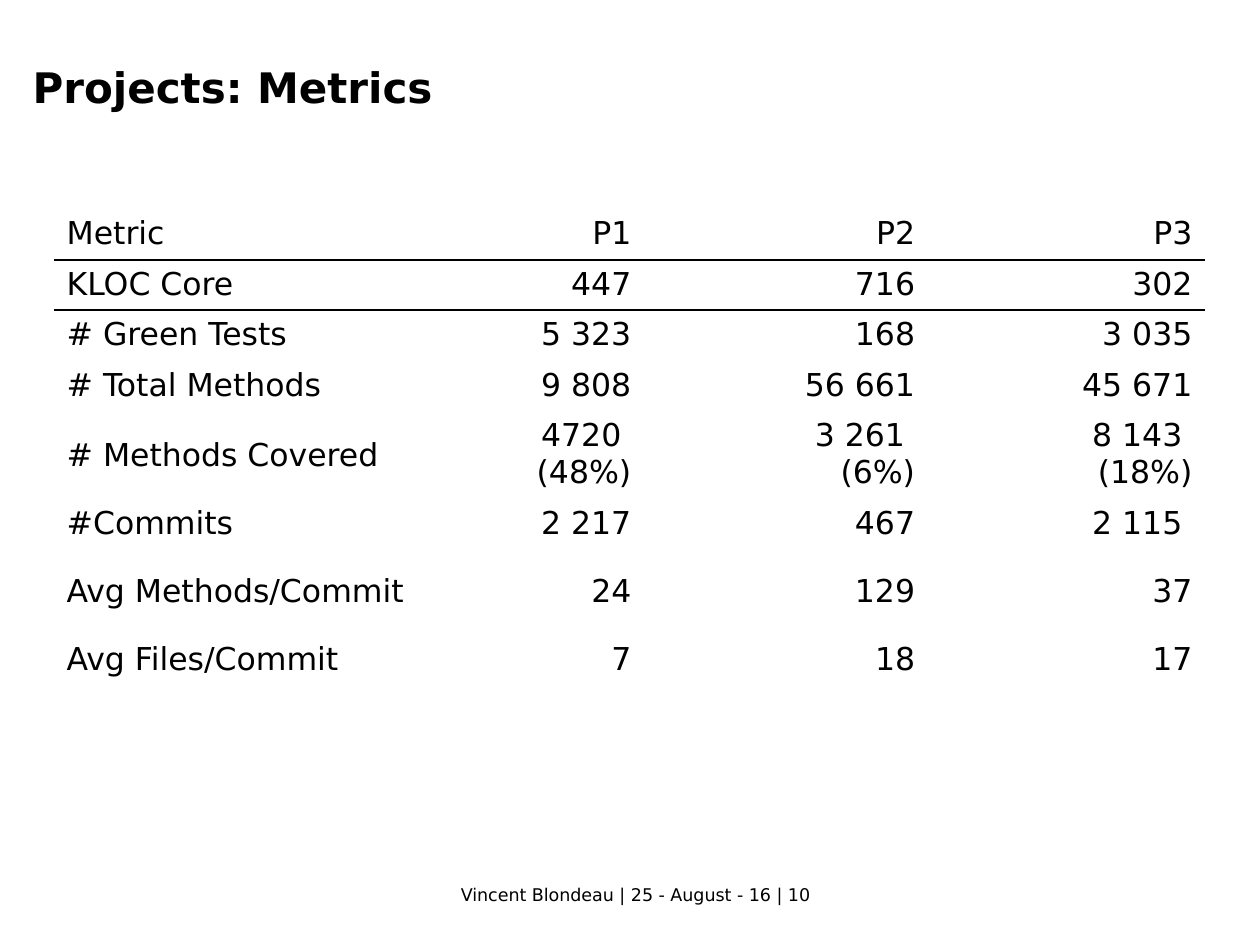
import pptx
import pptx.util
import pptx.dml.color
import pptx.enum.text
import pptx.oxml
import pptx.oxml.ns

Cm, Pt = pptx.util.Cm, pptx.util.Pt
Align = pptx.enum.text.PP_ALIGN
Anchor = pptx.enum.text.MSO_ANCHOR

# Content
TITLE = "Projects: Metrics"
FOOTER = "Vincent Blondeau | 25 - August - 16 | 10"
ROWS = [
    ("Metric", "P1", "P2", "P3"),
    ("KLOC Core", "447", "716", "302"),
    ("# Green Tests", "5 323", "168", "3 035"),
    ("# Total Methods", "9 808", "56 661", "45 671"),
    ("# Methods Covered", "4720 \n(48%)", "3 261 \n(6%)", "8 143 \n(18%)"),
    ("#Commits", "2 217", "467", "2 115 "),
    ("Avg Methods/Commit", "24", "129", "37"),
    ("Avg Files/Commit", "7", "18", "17"),
]
WIDTHS = [8.31, 3.58, 5.72, 5.59]
HEIGHTS = [0.99] * 4 + [1.73, 1.37, 1.37, 0.99]
RULED = (0, 1)  # rows with a line below
MIDDLE = 4      # row whose label is centred vertically
COLORS = {"text": "000000", "line": "000000"}
FONT = "DejaVu Sans"


def write(frame, text, size=18, bold=False, align=Align.LEFT):
    par = frame.paragraphs[0]
    par.text = text
    par.alignment = align
    for run in par.runs:
        font = run.font
        font.name, font.size, font.bold = FONT, Pt(size), bold
        font.color.rgb = pptx.dml.color.RGBColor.from_string(COLORS["text"])


def add_text(slide, text, left, top, width, height, wrap=True, inset=0.13, **style):
    box = slide.shapes.add_textbox(Cm(left), Cm(top), Cm(width), Cm(height))
    frame = box.text_frame
    frame.word_wrap = wrap
    frame.margin_top = Cm(inset)
    write(frame, text, **style)


def set_edges(cell, ruled):
    props = cell._tc.get_or_add_tcPr()
    for side in "LRTB":
        fill = "<a:noFill/>"
        if side in ruled:
            fill = f'<a:solidFill><a:srgbClr val="{COLORS["line"]}"/></a:solidFill>'
        space = pptx.oxml.ns.nsdecls("a")
        props.append(pptx.oxml.parse_xml(
            f'<a:ln{side} {space} w="{Pt(1)}">{fill}</a:ln{side}>'))


def add_grid(slide, left, top):
    grid = slide.shapes.add_table(
        len(ROWS), len(WIDTHS), Cm(left), Cm(top),
        Cm(sum(WIDTHS)), Cm(sum(HEIGHTS))).table
    grid.first_row = grid.horz_banding = False
    for col, width in zip(grid.columns, WIDTHS):
        col.width = Cm(width)
    for r, (texts, height) in enumerate(zip(ROWS, HEIGHTS)):
        grid.rows[r].height = Cm(height)
        ruled = ("T" if r - 1 in RULED else "") + ("B" if r in RULED else "")
        for c, text in enumerate(texts):
            cell = grid.cell(r, c)
            write(cell.text_frame, text, align=Align.RIGHT if c else Align.LEFT)
            set_edges(cell, ruled)
            cell.fill.background()
            if r == MIDDLE and c == 0:
                cell.vertical_anchor = Anchor.MIDDLE


def main():
    deck = pptx.Presentation()
    deck.slide_width, deck.slide_height = Cm(25.4), Cm(19.05)
    slide = deck.slides.add_slide(deck.slide_layouts[6])

    # Footer, title, table
    add_text(slide, FOOTER, 9.04, 17.7, 8.31, 0.69, wrap=False, size=10)
    add_text(slide, TITLE, 0.41, 1.04, 24.31, 2.11, inset=0.2, size=24, bold=True)
    add_grid(slide, 1.09, 4.22)

    deck.save("out.pptx")


if __name__ == "__main__":
    main()
